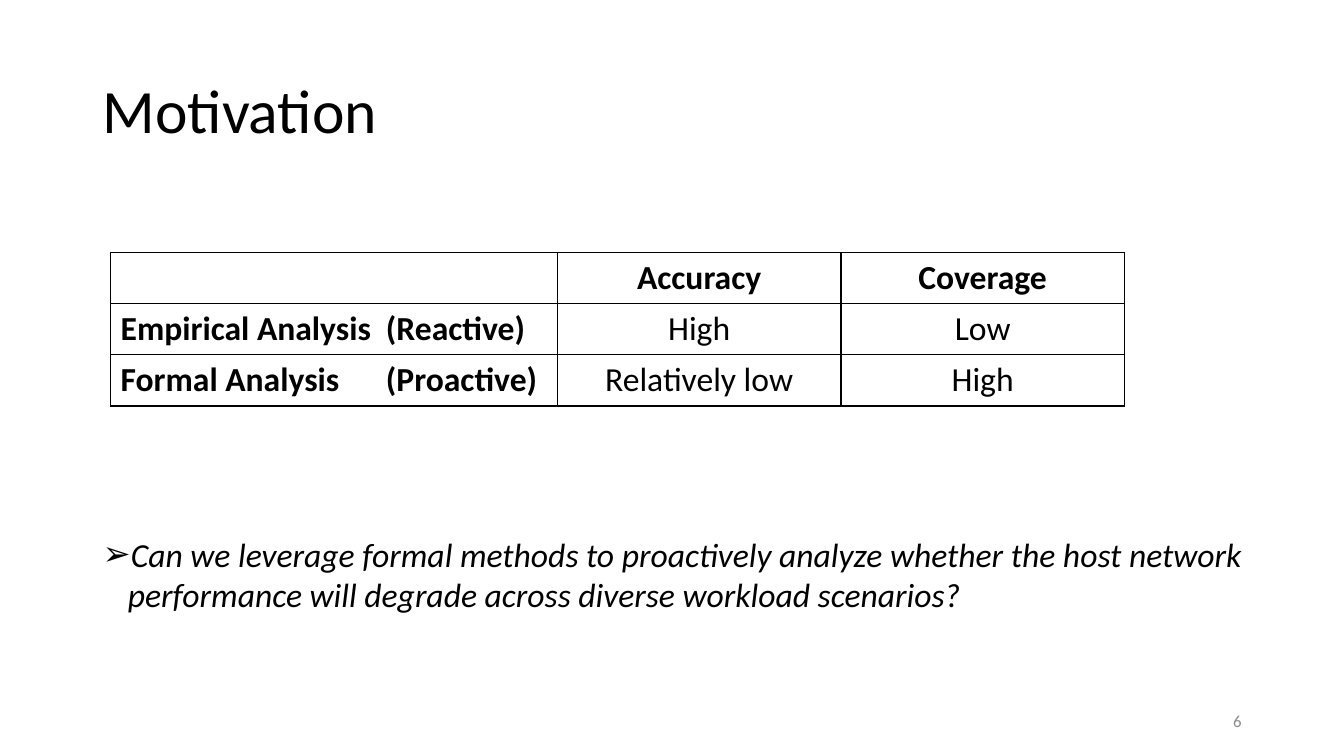
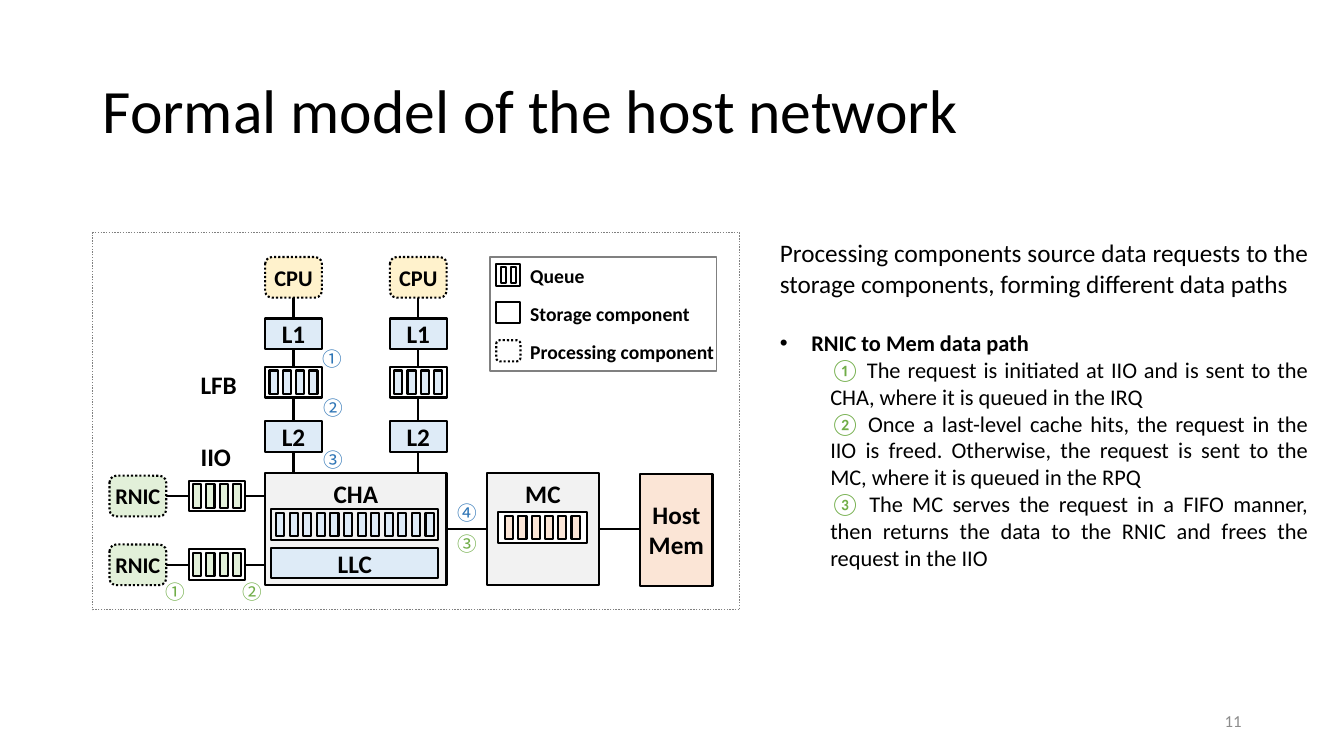
from dataclasses import dataclass
from typing import NamedTuple, Optional

from lxml import etree
from pptx import Presentation
from pptx.dml.color import RGBColor
from pptx.enum.dml import MSO_LINE
from pptx.enum.shapes import MSO_CONNECTOR, MSO_SHAPE
from pptx.enum.text import MSO_ANCHOR, PP_ALIGN
from pptx.oxml.ns import qn
from pptx.util import Pt

RECT, ROUNDED = MSO_SHAPE.RECTANGLE, MSO_SHAPE.ROUNDED_RECTANGLE
STRAIGHT, DOTTED = MSO_CONNECTOR.STRAIGHT, MSO_LINE.ROUND_DOT
LEFT, CENTER, RIGHT, JUSTIFY = PP_ALIGN.LEFT, PP_ALIGN.CENTER, PP_ALIGN.RIGHT, PP_ALIGN.JUSTIFY
TOP, MIDDLE = MSO_ANCHOR.TOP, MSO_ANCHOR.MIDDLE

BLACK = RGBColor(0x00, 0x00, 0x00)
WHITE = RGBColor(0xFF, 0xFF, 0xFF)
GREY = RGBColor(0x80, 0x80, 0x80)
NUMBER_GREY = RGBColor(0x8C, 0x8C, 0x8C)
PALE_GREY = RGBColor(0xF2, 0xF2, 0xF2)
PALE_BLUE = RGBColor(0xDE, 0xEB, 0xF7)
PALE_GREEN = RGBColor(0xE2, 0xF0, 0xD9)
PALE_YELLOW = RGBColor(0xFF, 0xF2, 0xCC)
PALE_ORANGE = RGBColor(0xFB, 0xE5, 0xD6)
STEP_BLUE = RGBColor(0x2E, 0x75, 0xB6)
STEP_GREEN = RGBColor(0x70, 0xAD, 0x47)

FONT, STEP_FONT = "Calibri", "Noto Sans CJK SC"


class Area(NamedTuple):
    left: float
    top: float
    width: float
    height: float


@dataclass
class Style:
    size: float
    bold: bool = False
    italic: bool = False
    color: RGBColor = BLACK
    font: str = FONT


@dataclass
class Block:
    area: Area
    fill: Optional[RGBColor] = None
    label: str = ""
    size: float = 18
    shape: int = RECT
    dotted: bool = False
    line: RGBColor = BLACK
    weight: float = 1.5
    anchor: int = MIDDLE


@dataclass
class Queue:
    area: Area
    count: int
    slot_fill: RGBColor
    fill: Optional[RGBColor] = WHITE
    slot_width: float = 5.8
    slot_height: float = 16.6
    pitch: float = 9.5


class Step(NamedTuple):
    text: str
    left: float
    top: float
    color: RGBColor


# Text helpers
def format_span(span, style: Style) -> None:
    font = span.font
    font.size, font.bold, font.italic = Pt(style.size), style.bold, style.italic
    font.color.rgb, font.name = style.color, style.font
    east_asian = etree.SubElement(span._r.get_or_add_rPr(), qn("a:ea"))
    east_asian.set("typeface", style.font)


def write(para, text: str, style: Style, align: int = LEFT) -> None:
    para.text, para.alignment = text, align
    for span in para.runs:
        format_span(span, style)


def indent(para, left: float, first: float, bullet: str = "") -> None:
    properties = para._p.get_or_add_pPr()
    properties.set("marL", str(Pt(left)))
    properties.set("indent", str(Pt(first)))
    if bullet:
        etree.SubElement(properties, qn("a:buFont")).set("typeface", "Arial")
        etree.SubElement(properties, qn("a:buChar")).set("char", bullet)


def add_text(page, area: Area, text: str, style: Style, align: int = LEFT,
             anchor: int = TOP, wrap: bool = True):
    box = page.shapes.add_textbox(*map(Pt, area))
    frame = box.text_frame
    frame.word_wrap, frame.vertical_anchor = wrap, anchor
    write(frame.paragraphs[0], text, style, align)
    return frame


# Drawing helpers
def add_block(page, block: Block) -> None:
    box = page.shapes.add_shape(block.shape, *map(Pt, block.area))
    box.shadow.inherit = False
    if block.fill is None:
        box.fill.background()
    else:
        box.fill.solid()
        box.fill.fore_color.rgb = block.fill
    box.line.color.rgb, box.line.width = block.line, Pt(block.weight)
    if block.dotted:
        box.line.dash_style = DOTTED
    if block.label:
        frame = box.text_frame
        frame.word_wrap, frame.vertical_anchor = True, block.anchor
        frame.margin_left = frame.margin_right = 0
        write(frame.paragraphs[0], block.label, Style(block.size, bold=True), CENTER)


def add_queue(page, queue: Queue) -> None:
    add_block(page, Block(queue.area, queue.fill))
    span = (queue.count - 1) * queue.pitch + queue.slot_width
    left = queue.area.left + (queue.area.width - span) / 2
    top = queue.area.top + (queue.area.height - queue.slot_height) / 2
    for index in range(queue.count):
        slot = Area(left + index * queue.pitch, top, queue.slot_width, queue.slot_height)
        add_block(page, Block(slot, queue.slot_fill))


def add_line(page, x1: float, y1: float, x2: float, y2: float) -> None:
    line = page.shapes.add_connector(STRAIGHT, Pt(x1), Pt(y1), Pt(x2), Pt(y2))
    line.line.color.rgb, line.line.width = BLACK, Pt(1.5)
    etree.SubElement(line._element.spPr, qn("a:effectLst"))


def add_borders(cell) -> None:
    properties = cell._tc.get_or_add_tcPr()
    for side in ("lnL", "lnR", "lnT", "lnB"):
        border = etree.SubElement(properties, qn("a:" + side), w=str(Pt(1)))
        fill = etree.SubElement(border, qn("a:solidFill"))
        etree.SubElement(fill, qn("a:srgbClr"), val=str(BLACK))


# Shared page: title and number
def add_page(deck, title: str, number: int):
    page = deck.slides.add_slide(deck.slide_layouts[6])
    frame = add_text(page, Area(66.2, 28.8, 792.7, 104.4), title, Style(44), anchor=MIDDLE)
    frame.paragraphs[0].line_spacing = 0.9
    add_text(page, Area(678, 500.5, 216, 28.8), str(number),
             Style(12, color=NUMBER_GREY), RIGHT, MIDDLE)
    return page


COLUMN_WIDTHS = (319.2, 202.5, 202.5)
ROW_HEIGHT = 36.5
TABLE_ROWS = (
    ("", "Accuracy", "Coverage"),
    ("Empirical Analysis\t(Reactive)", "High", "Low"),
    ("Formal Analysis\t(Proactive)", "Relatively low", "High"),
)


def build_motivation(deck) -> None:
    page = add_page(deck, "Motivation", 6)
    area = Area(79, 180.5, sum(COLUMN_WIDTHS), ROW_HEIGHT * len(TABLE_ROWS))
    table = page.shapes.add_table(len(TABLE_ROWS), len(COLUMN_WIDTHS), *map(Pt, area)).table
    table.first_row = table.horz_banding = False
    for column, width in zip(table.columns, COLUMN_WIDTHS):
        column.width = Pt(width)
    for row, texts in enumerate(TABLE_ROWS):
        table.rows[row].height = Pt(ROW_HEIGHT)
        for column, text in enumerate(texts):
            cell = table.cell(row, column)
            add_borders(cell)
            cell.fill.background()
            para = cell.text_frame.paragraphs[0]
            write(para, text, Style(24, bold=row == 0 or column == 0),
                  CENTER if column else LEFT)
            if "\t" in text:
                tabs = etree.SubElement(para._p.get_or_add_pPr(), qn("a:tabLst"))
                etree.SubElement(tabs, qn("a:tab"), pos=str(Pt(189.5)), algn="l")

    # Research question
    frame = add_text(page, Area(66.2, 377.5, 843.8, 66),
                     "Can we leverage formal methods to proactively analyze whether the host "
                     "network performance will degrade across diverse workload scenarios?",
                     Style(24, italic=True))
    indent(frame.paragraphs[0], 18, -18, "➢")


DATA_PATH_STEPS = (
    ("① ", "The request is initiated at IIO and is sent to the CHA, where it is queued in the IRQ"),
    ("② ", "Once a last-level cache hits, the request in the IIO is freed. Otherwise, the request "
           "is sent to the MC, where it is queued in the RPQ"),
    ("③ ", "The MC serves the request in a FIFO manner, then returns the data to the RNIC and "
           "frees the request in the IIO"),
)
STEP_MARKS = (
    Step("①", 223.2, 244.1, STEP_BLUE),
    Step("②", 223.9, 279.4, STEP_BLUE),
    Step("③", 223.9, 316.1, STEP_BLUE),
    Step("④", 319.7, 354.2, STEP_BLUE),
    Step("①", 110.9, 410.4, STEP_GREEN),
    Step("②", 166.3, 410.4, STEP_GREEN),
    Step("③", 319.7, 376.6, STEP_GREEN),
)
UNIT_WIDTH, UNIT_HEIGHT, CHIP_HEIGHT = 40.5, 22, 29
CHA_LEFT, CHA_TOP, CHA_WIDTH, CHA_HEIGHT = 189.4, 337.8, 129.6, 80
CORE_LEFTS = (CHA_LEFT, CHA_LEFT + CHA_WIDTH - UNIT_WIDTH)
DEVICE_TOPS = (339.8, 388.9)


def add_legend(page) -> None:
    left, top, pitch = 354.5, 188.6, 27.2
    add_queue(page, Queue(Area(left, top, 17.3, 15.8), 2, WHITE,
                          slot_width=3.6, slot_height=11.5, pitch=7.2))
    add_block(page, Block(Area(left, top + pitch, 17.3, 15.1)))
    add_block(page, Block(Area(left, top + 2 * pitch, 17.3, 15.1), shape=ROUNDED, dotted=True))
    for index, text in enumerate(("Queue", "Storage component", "Processing component")):
        add_text(page, Area(371.6, 185 + index * pitch, 147.6, 24.5), text,
                 Style(14, bold=True), wrap=False)
    add_block(page, Block(Area(350, 183.6, 162, 81.4), line=GREY, weight=1))


def add_diagram(page) -> None:
    add_legend(page)

    # Processor cores above the CHA
    for left in CORE_LEFTS:
        center = left + UNIT_WIDTH / 2
        add_line(page, center, 212, center, CHA_TOP)
        add_block(page, Block(Area(left, 183.6, UNIT_WIDTH, CHIP_HEIGHT), PALE_YELLOW,
                              "CPU", 16, ROUNDED, True))
        for label, top in (("L1", 227.5), ("L2", 301)):
            add_block(page, Block(Area(left, top, UNIT_WIDTH, UNIT_HEIGHT), PALE_BLUE, label))
        add_queue(page, Queue(Area(left, 262, UNIT_WIDTH, UNIT_HEIGHT), 4, PALE_BLUE))

    # Network devices beside the CHA
    for top in DEVICE_TOPS:
        middle = top + CHIP_HEIGHT / 2
        add_line(page, 118, middle, CHA_LEFT, middle)
        add_block(page, Block(Area(78.2, top, UNIT_WIDTH, CHIP_HEIGHT), PALE_GREEN,
                              "RNIC", 16, ROUNDED, True))
        add_queue(page, Queue(Area(134.8, middle - UNIT_HEIGHT / 2, UNIT_WIDTH, UNIT_HEIGHT),
                              4, PALE_GREEN))
    for label, top in (("LFB", 260), ("IIO", 312)):
        add_text(page, Area(136.2, top, 41, 29), label, Style(18, bold=True), wrap=False)

    # CHA, memory controller and host memory
    add_line(page, CHA_LEFT + CHA_WIDTH, 378, 457.2, 378)
    add_block(page, Block(Area(CHA_LEFT, CHA_TOP, CHA_WIDTH, CHA_HEIGHT), PALE_GREY, "CHA",
                          anchor=TOP))
    add_queue(page, Queue(Area(193.7, 363.6, 119.5, UNIT_HEIGHT), 12, PALE_BLUE,
                          fill=None, pitch=9.7))
    add_block(page, Block(Area(193.7, 391.6, 119.5, 21.6), PALE_BLUE, "LLC"))
    add_block(page, Block(Area(347.8, CHA_TOP, 80, CHA_HEIGHT), PALE_GREY, "MC", anchor=TOP))
    add_queue(page, Queue(Area(355.7, 365.8, 63.4, UNIT_HEIGHT), 6, PALE_ORANGE))
    add_block(page, Block(Area(457.2, 338.4, 51.8, CHA_HEIGHT), PALE_ORANGE, "Host Mem"))

    # Outer frame and step marks
    add_block(page, Block(Area(66.2, 166.3, 462.2, 269.3), dotted=True, line=GREY, weight=1))
    for step in STEP_MARKS:
        add_text(page, Area(step.left, step.top, 24.5, 24.5), step.text,
                 Style(14, color=step.color, font=STEP_FONT), wrap=False)


def build_formal_model(deck) -> None:
    page = add_page(deck, "Formal model of the host network", 11)

    # Explanation
    frame = add_text(page, Area(550, 166.3, 391.7, 266.4),
                     "Processing components source data requests to the storage components, "
                     "forming different data paths", Style(18), JUSTIFY)
    heading = frame.add_paragraph()
    write(heading, "RNIC to Mem data path", Style(16, bold=True), JUSTIFY)
    heading.space_before = Pt(22)
    indent(heading, 22.5, -22.5, "•")
    for mark, text in DATA_PATH_STEPS:
        para = frame.add_paragraph()
        write(para, mark, Style(16, color=STEP_GREEN), JUSTIFY)
        span = para.add_run()
        span.text = text
        format_span(span, Style(16))
        indent(para, 36, 0)

    add_diagram(page)


def main() -> None:
    deck = Presentation()
    deck.slide_width, deck.slide_height = Pt(960), Pt(540)
    build_motivation(deck)
    build_formal_model(deck)
    deck.save("out.pptx")


if __name__ == "__main__":
    main()
